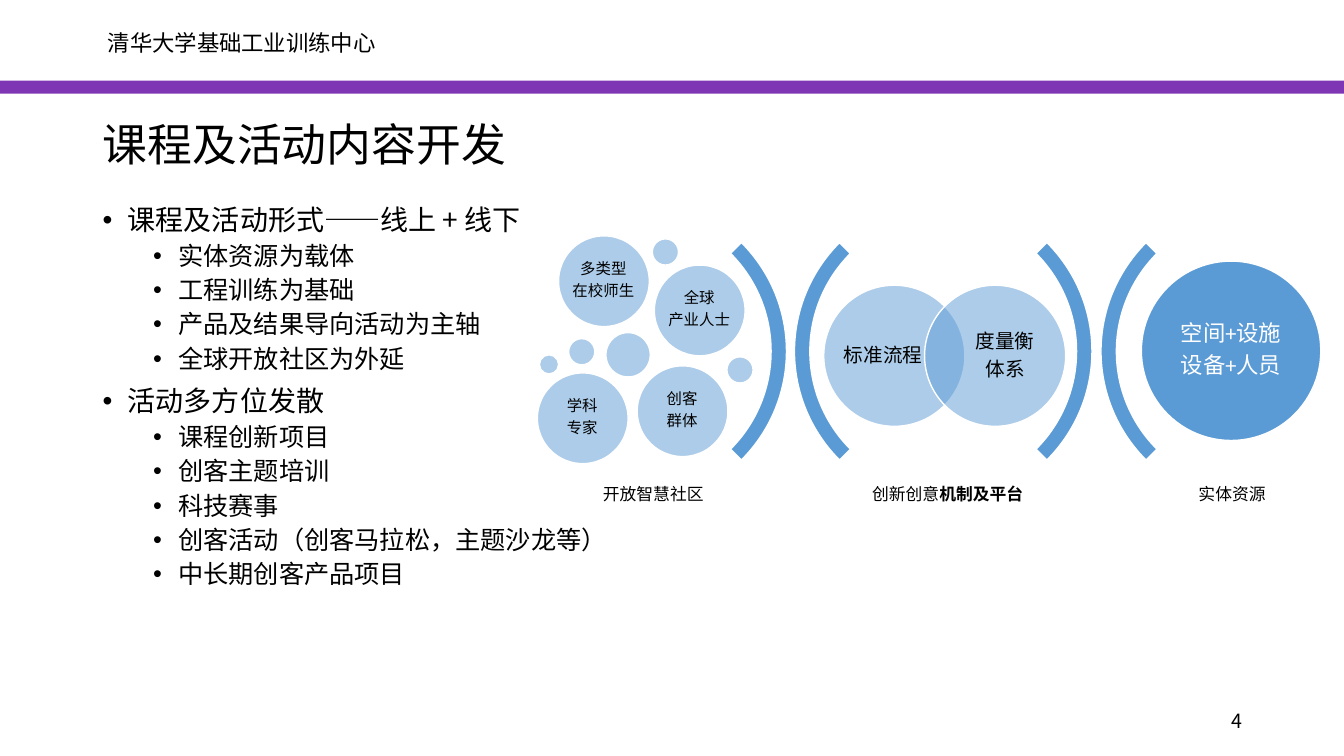
from collections import namedtuple
from lxml import etree
from pptx import Presentation
from pptx import util as u
from pptx.dml.color import RGBColor
from pptx.enum import shapes, text
from pptx.oxml import ns

PX = 9144
SANS, LATIN = "Noto Sans CJK SC", "Calibri"
BLACK, WHITE, BLUE, PURPLE = "000000", "FFFFFF", "5B9BD5", "7E36B4"
Box = namedtuple("Box", "left top width height")
LEFT, CENTER, RIGHT = text.PP_ALIGN.LEFT, text.PP_ALIGN.CENTER, text.PP_ALIGN.RIGHT
MIDDLE, TOP = text.MSO_ANCHOR.MIDDLE, text.MSO_ANCHOR.TOP

OUTLINE = [
    ("课程及活动形式——线上 + 线下",
     ["实体资源为载体", "工程训练为基础", "产品及结果导向活动为主轴", "全球开放社区为外延"]),
    ("活动多方位发散",
     ["课程创新项目", "创客主题培训", "科技赛事",
      "创客活动（创客马拉松，主题沙龙等）", "中长期创客产品项目"]),
]
GROUPS = [
    (21, 38, ["多类型", "在校师生"]),
    (116, 67, ["全球", "产业人士"]),
    (0, 174, ["学科", "专家"]),
    (99, 167, ["创客", "群体"]),
]
BUBBLES = [(32, 140, 26), (115, 41, 26), (189, 158, 26), (69, 134, 44), (3, 156, 19)]


def emu(*lengths):
    return [u.Emu(length * PX) for length in lengths]


def color(value):
    return RGBColor.from_string(value)


def set_font(para, size, name, shade):
    para.font.size = u.Pt(size)
    para.font.color.rgb = color(shade)
    para.font.name = name
    east = etree.SubElement(para.font._element, ns.qn("a:ea"))
    east.set("typeface", SANS)


def add_frame(page, box, anchor=MIDDLE, margins=(10, 5), wrap=True):
    frame = page.shapes.add_textbox(*emu(*box)).text_frame
    frame.word_wrap = wrap
    frame.vertical_anchor = anchor
    frame.margin_left = frame.margin_right = u.Emu(margins[0] * PX)
    frame.margin_top = frame.margin_bottom = u.Emu(margins[1] * PX)
    return frame


def add_line(page, box, words, size, align=LEFT, spacing=1.0, wrap=True, anchor=MIDDLE):
    para = add_frame(page, box, anchor, wrap=wrap).paragraphs[0]
    para.text = words
    para.alignment = align
    para.line_spacing = spacing
    set_font(para, size, SANS, BLACK)


def add_label(page, box, lines, size, shade=BLACK, margins=(0, 0)):
    frame = add_frame(page, box, margins=margins)
    for index, line in enumerate(lines):
        para = frame.add_paragraph() if index else frame.paragraphs[0]
        para.text = line
        para.alignment = CENTER
        para.line_spacing = 0.9
        para.space_after = u.Pt(size * 0.35)
        set_font(para, size, LATIN, shade)
    return frame


def add_figure(page, kind, box, fill, outlined=True, opacity=100):
    figure = page.shapes.add_shape(kind, *emu(*box))
    figure.shadow.inherit = False
    figure.fill.solid()
    figure.fill.fore_color.rgb = color(fill)
    if opacity < 100:
        shade = figure._element.spPr.find(".//" + ns.qn("a:srgbClr"))
        etree.SubElement(shade, ns.qn("a:alpha")).set("val", str(opacity * 1000))
    if outlined:
        figure.line.color.rgb = color(WHITE)
        figure.line.width = u.Pt(1)
    else:
        figure.line.fill.background()
    return figure


def add_circle(page, left, top, size, opacity=50):
    box = Box(left, top, size, size)
    add_figure(page, shapes.MSO_SHAPE.OVAL, box, BLUE, opacity=opacity)


def add_arc(page, left, top, rotation):
    arc = add_figure(page, shapes.MSO_SHAPE.BLOCK_ARC, Box(left, top, 305, 305), BLUE)
    arc.rotation = rotation
    for index, value in enumerate((135, 189, 0.05)):
        arc.adjustments[index] = value


def add_caption(page, box, words, bold_words=""):
    place = Box(box.left, box.top + 265, box.width, 61)
    frame = add_label(page, place, [words], 12, margins=(5, 5))
    if bold_words:
        span = frame.paragraphs[0].add_run()
        span.text = bold_words
        span.font.bold = True


def draw_header(page, box):
    band = Box(box.left, box.top + 80, box.width, 13)
    add_figure(page, shapes.MSO_SHAPE.RECTANGLE, band, PURPLE, outlined=False)
    name = Box(box.left + 97, box.top + 24, 429, 37)
    add_line(page, name, "清华大学基础工业训练中心", 16, wrap=False, anchor=TOP)


def draw_outline(page, box):
    frame = add_frame(page, box, TOP)
    entries = [(level, words) for heading, items in OUTLINE
               for level, words in [(0, heading)] + [(1, item) for item in items]]
    for index, (level, words) in enumerate(entries):
        para = frame.add_paragraph() if index else frame.paragraphs[0]
        para.text = words
        para.level = level
        para.line_spacing = 0.9
        para.space_before = u.Pt((5 if level else 10) if index else 0)
        props = para._p.get_or_add_pPr()
        props.set("marL", str((75 if level else 25) * PX))
        props.set("indent", str(-25 * PX))
        etree.SubElement(props, ns.qn("a:buFont")).set("typeface", "Arial")
        etree.SubElement(props, ns.qn("a:buChar")).set("char", "•")
        set_font(para, 18 if level else 20, SANS, BLACK)


def draw_brackets(page, box):
    for left, rotation in ((0, 90), (313, 270), (303, 90), (617, 270)):
        add_arc(page, box.left + left, box.top, rotation)


def draw_community(page, box):
    for left, top, size in BUBBLES:
        add_circle(page, box.left + left, box.top + top, size)
    for left, top, lines in GROUPS:
        place = Box(box.left + left + 1, box.top + top, 90, 90)
        add_circle(page, place.left, place.top, 90)
        label = Box(place.left + 13, place.top + 13, 63, 63)
        add_label(page, label, lines, 11, margins=(0, 5))
    add_caption(page, Box(box.left + 6, box.top, 220, box.height), "开放智慧社区")


def draw_platform(page, box):
    for left, inset, lines in ((0, 19, ["标准流程"]), (100, 40, ["度量衡", "体系"])):
        place = Box(box.left + left, box.top + 87, 140, 140)
        add_circle(page, place.left, place.top, 140)
        add_label(page, Box(place.left + inset, place.top + 17, 80, 107), lines, 14)
    add_caption(page, Box(box.left + 13, box.top, 220, box.height), "创新创意", "机制及平台")


def draw_resources(page, box):
    add_circle(page, box.left + 20, box.top + 63, 178, opacity=100)
    label = Box(box.left + 46, box.top + 89, 126, 126)
    add_label(page, label, ["空间+设施", "设备+人员"], 16, WHITE, (0, 7))
    add_caption(page, box, "实体资源")


def main():
    deck = Presentation()
    deck.slide_width, deck.slide_height = emu(1333, 750)
    page = deck.slides.add_slide(deck.slide_layouts[6])
    draw_header(page, Box(0, 0, 1333, 93))
    add_line(page, Box(92, 93, 1150, 106), "课程及活动内容开发", 32, spacing=0.9)
    draw_outline(page, Box(92, 200, 567, 476))
    draw_brackets(page, Box(475, 196, 922, 305))
    draw_platform(page, Box(817, 196, 240, 326))
    draw_community(page, Box(532, 196, 231, 326))
    draw_resources(page, Box(1112, 196, 220, 326))
    add_line(page, Box(942, 695, 300, 40), "4", 14, align=RIGHT)
    deck.save("out.pptx")


if __name__ == "__main__":
    main()
